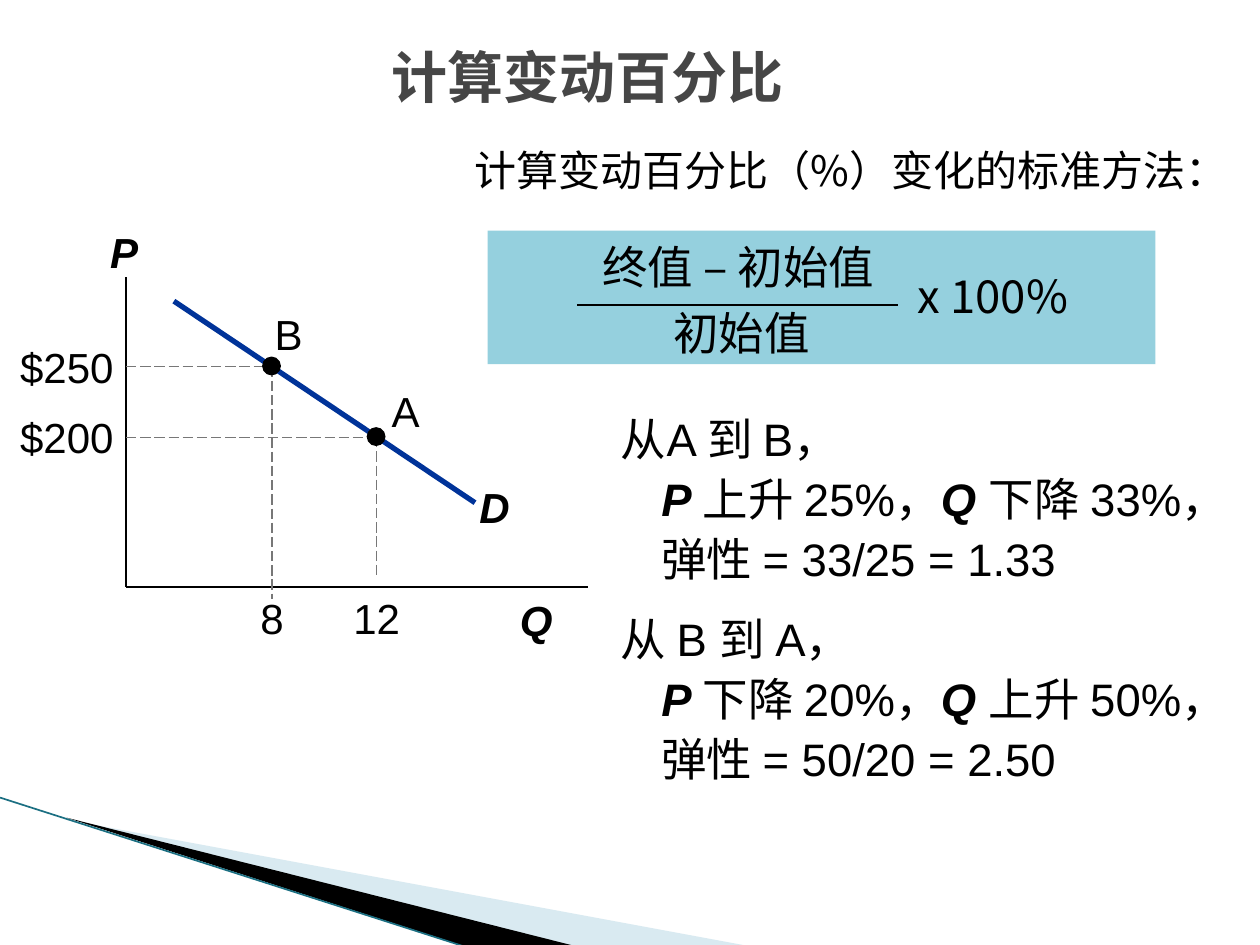
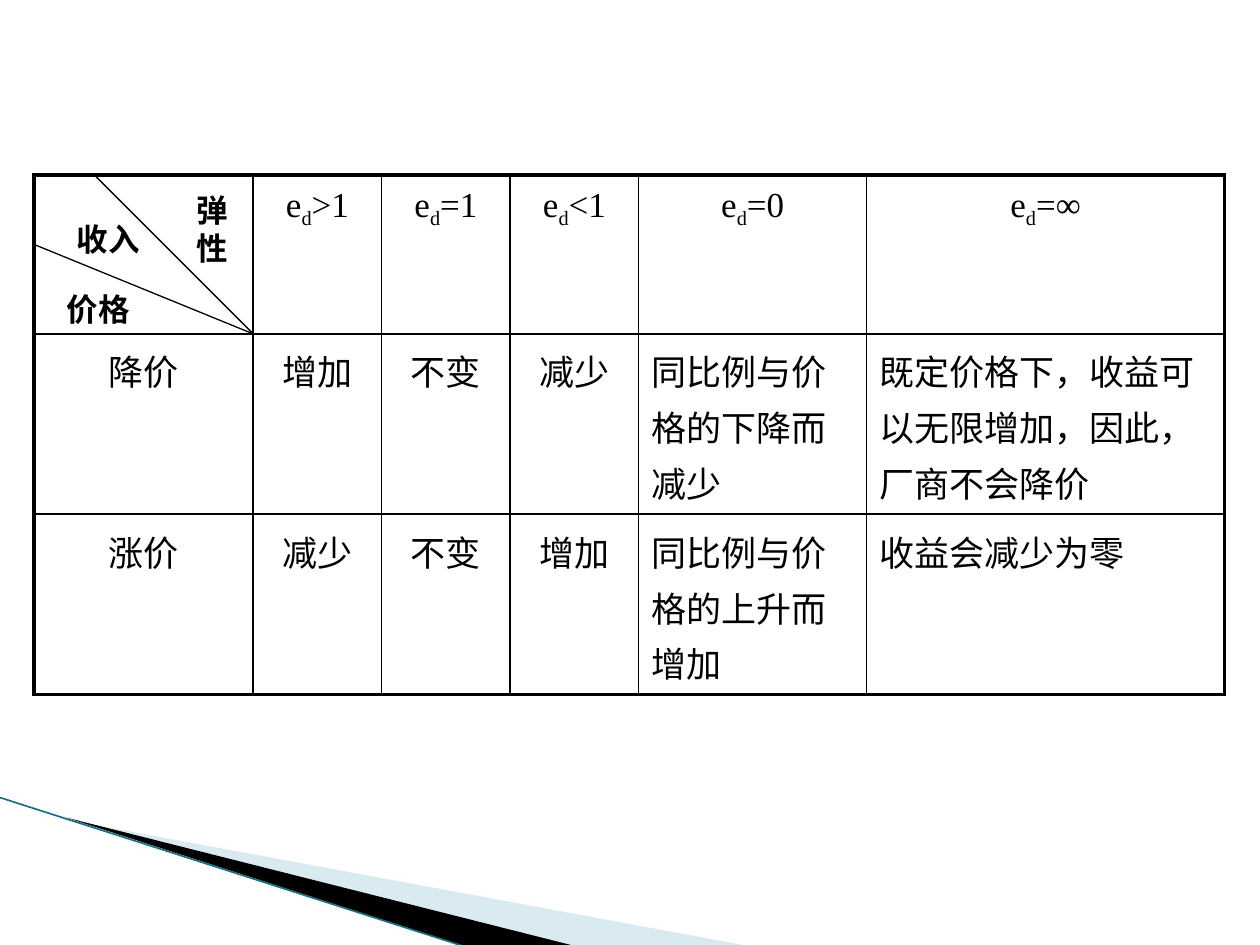
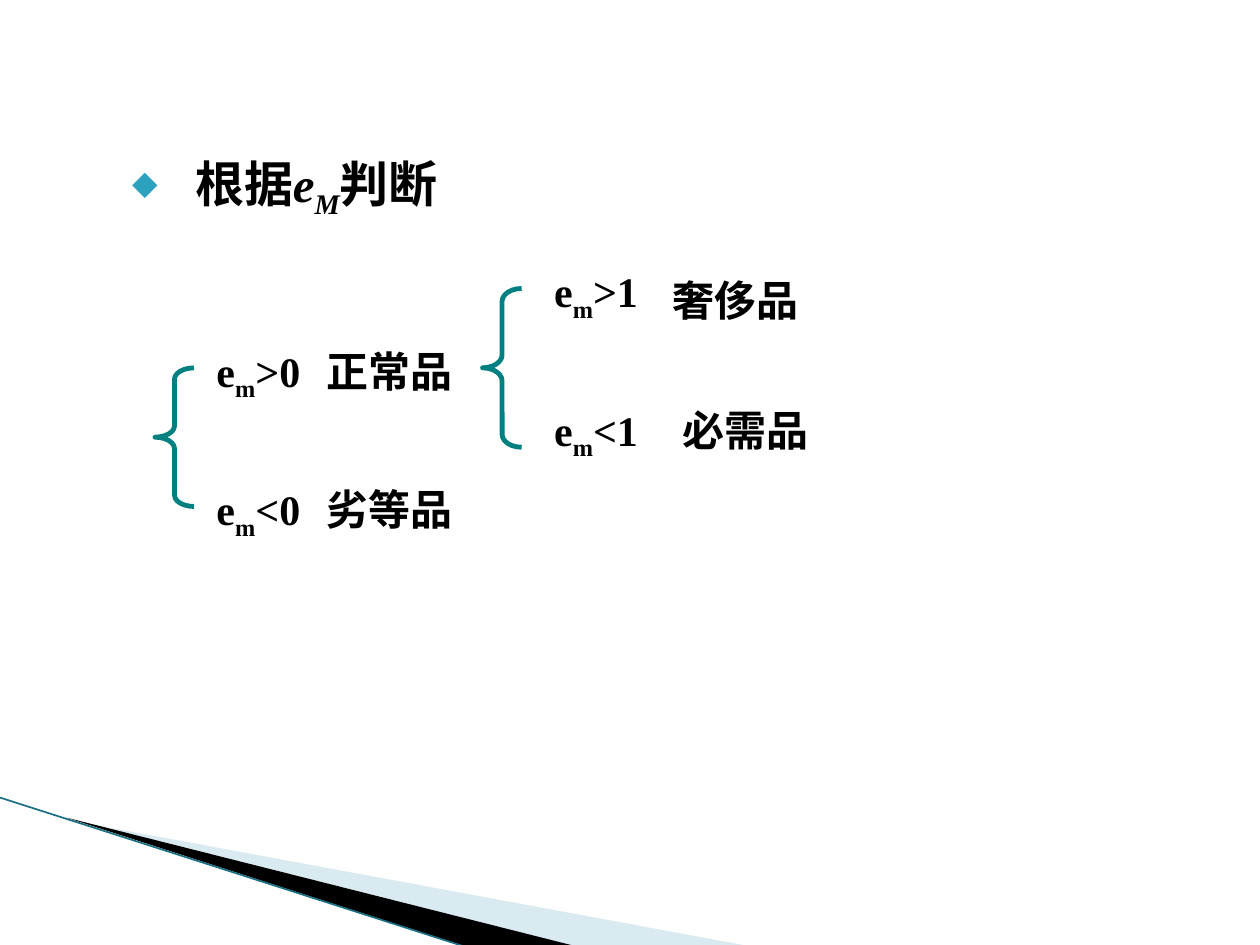
import dataclasses

import lxml.etree
import pptx
import pptx.dml.color
import pptx.enum.dml
import pptx.enum.shapes
import pptx.enum.text
import pptx.oxml.ns
import pptx.util

Inches = pptx.util.Inches
Pt = pptx.util.Pt
ALIGN = pptx.enum.text.PP_ALIGN
PRESET = pptx.enum.shapes.MSO_SHAPE
LINE_HEIGHT = 0.5


@dataclasses.dataclass(frozen=True)
class Theme:
    ink: str = "000000"
    title_ink: str = "464646"
    accent: str = "2DA2BF"
    pale_band: str = "A0CBDC"
    band_edge: str = "1B6F82"
    demand: str = "003399"
    guide: str = "777777"
    brace: str = "008080"
    sans: str = "Arial"
    chinese: str = "Noto Sans CJK SC"
    serif: str = "Times New Roman"
    title: float = 32
    bullet: float = 28
    body: float = 26
    label: float = 24
    cell: float = 20
    corner: float = 18
    thin: float = 0.75
    rule: float = 1
    frame: float = 2.25


THEME = Theme()


@dataclasses.dataclass(frozen=True)
class Box:
    left: float
    top: float
    width: float
    height: float

    def inner(self, left, top, width, height):
        return Box(self.left + left, self.top + top, width, height)

    def point(self, x, y):
        return self.left + x, self.top + y

    def lengths(self):
        return [Inches(value) for value in (self.left, self.top, self.width, self.height)]


def rgb(color):
    return pptx.dml.color.RGBColor.from_string(color)


def add_element(parent, tag, **attributes):
    element = lxml.etree.SubElement(parent, pptx.oxml.ns.qn(tag))
    for name, value in attributes.items():
        element.set(name, str(value))
    return element


def subscripted(base, index, rest, **format):
    return [(base, format), (index, {**format, "baseline": -25}), (rest, {})]


def write_run(paragraph, text, font=THEME.sans, size=THEME.label, color=THEME.ink,
              bold=False, italic=False, baseline=0):
    for number, piece in enumerate(text.split("\n")):
        if number:
            paragraph.add_line_break()
        if not piece:
            continue
        run = paragraph.add_run()
        run.text = piece
        run.font.name = font
        run.font.size = Pt(size)
        run.font.bold = bold
        run.font.italic = italic
        run.font.color.rgb = rgb(color)
        properties = run._r.get_or_add_rPr()
        add_element(properties, "a:ea", typeface=THEME.chinese)
        if baseline:
            properties.set("baseline", str(baseline * 1000))


def write_text(frame, text, align=ALIGN.LEFT, spacing=None, before=0, indent=None,
               bullet=None, **run_format):
    paragraphs = [[(text, {})]] if isinstance(text, str) else text
    for number, runs in enumerate(paragraphs):
        paragraph = frame.add_paragraph() if number else frame.paragraphs[0]
        paragraph.alignment = align
        if spacing:
            paragraph.line_spacing = spacing
        paragraph.space_before = Pt(before if number else 0)
        properties = paragraph._p.get_or_add_pPr()
        if indent:
            properties.set("marL", str(Inches(indent[0])))
            properties.set("indent", str(Inches(indent[1])))
        if bullet:
            add_element(add_element(properties, "a:buClr"), "a:srgbClr", val=THEME.accent)
            add_element(properties, "a:buSzPct", val=68000)
            add_element(properties, "a:buChar", char=bullet)
        for content, changes in runs:
            write_run(paragraph, content, **{**run_format, **changes})


def add_text(slide, box, text, anchor=pptx.enum.text.MSO_ANCHOR.TOP, **format):
    frame = slide.shapes.add_textbox(*box.lengths()).text_frame
    frame.word_wrap = True
    frame.vertical_anchor = anchor
    write_text(frame, text, **format)


def paint(shape, fill=None, opacity=None, line=None, width=THEME.thin):
    shape.shadow.inherit = False
    if fill:
        shape.fill.solid()
        shape.fill.fore_color.rgb = rgb(fill)
        if opacity:
            color = shape._element.spPr.find(".//" + pptx.oxml.ns.qn("a:srgbClr"))
            add_element(color, "a:alpha", val=opacity * 1000)
    else:
        shape.fill.background()
    if line:
        shape.line.color.rgb = rgb(line)
        shape.line.width = Pt(width)
    else:
        shape.line.fill.background()


def add_shape(slide, preset, box, **style):
    shape = slide.shapes.add_shape(preset, *box.lengths())
    paint(shape, **style)
    return shape


def add_line(slide, start, end, color=THEME.ink, width=THEME.thin, dashed=False):
    connector = slide.shapes.add_connector(
        pptx.enum.shapes.MSO_CONNECTOR.STRAIGHT,
        *[Inches(value) for value in (*start, *end)])
    connector.line.color.rgb = rgb(color)
    connector.line.width = Pt(width)
    if dashed:
        connector.line.dash_style = pptx.enum.dml.MSO_LINE.LONG_DASH
    add_element(connector._element.spPr, "a:effectLst")


def add_polygon(slide, points, **style):
    corners = [(Inches(x), Inches(y)) for x, y in points]
    builder = slide.shapes.build_freeform(*corners[0])
    builder.add_line_segments(corners[1:], close=True)
    paint(builder.convert_to_shape(), **style)


def add_corner_band(slide, box):
    pale = [(0.55, 0.18), (5.95, 1.18), (4.56, 1.18)]
    dark = [(0.53, 0.16), (4.57, 1.18), (3.72, 1.19)]
    add_polygon(slide, [box.point(*point) for point in pale], fill=THEME.pale_band, opacity=40)
    add_polygon(slide, [box.point(*point) for point in dark], fill=THEME.ink)
    add_line(slide, box.point(0, 0), box.point(3.71, 1.19), THEME.band_edge, 0.95)


def add_demand_graph(slide, box):
    axis_x, axis_y = 1, 2.91
    add_line(slide, box.point(axis_x, 0.45), box.point(axis_x, axis_y), width=THEME.rule)
    add_line(slide, box.point(axis_x, axis_y), box.point(4.67, axis_y), width=THEME.rule)
    add_line(slide, box.point(1.38, 0.64), box.point(3.77, 2.24), THEME.demand, 3)
    for name, left, top in [("P", 0.65, 0), ("Q", 3.92, 2.92), ("D", 3.59, 2.02)]:
        add_text(slide, box.inner(left, top, 0.67, LINE_HEIGHT), name,
                 align=ALIGN.CENTER, bold=True, italic=True)
    points = [
        ("B", "$250", "8", 2.16, 1.16, 0.13, 0.51, 3),
        ("A", "$200", "12", 2.99, 1.72, 0.23, 0.46, 2.84),
    ]
    for name, price, quantity, x, y, shift, rise, guide_end in points:
        add_text(slide, box.inner(0, y - 0.25, 1, LINE_HEIGHT), price, align=ALIGN.RIGHT)
        add_text(slide, box.inner(x - 0.32, 2.9, 0.64, LINE_HEIGHT), quantity,
                 align=ALIGN.CENTER)
        add_line(slide, box.point(axis_x, y), box.point(x, y), THEME.guide, dashed=True)
        add_line(slide, box.point(x, y), box.point(x, guide_end), THEME.guide, dashed=True)
        add_text(slide, box.inner(x + shift - 0.21, y - rise, 0.42, LINE_HEIGHT), name,
                 align=ALIGN.CENTER)
        add_shape(slide, PRESET.OVAL, box.inner(x - 0.08, y - 0.08, 0.15, 0.15), fill=THEME.ink)


def add_formula(slide, box):
    add_shape(slide, PRESET.RECTANGLE, box, fill=THEME.accent, opacity=50)
    terms = [("终值 – 初始值", -0.12, 0.02, 4.22), ("初始值", 0.97, 0.54, 2.09),
             ("x 100%", 3.26, 0.25, 1.5)]
    for text, left, top, width in terms:
        add_text(slide, box.inner(left, top, width, 0.53), text, align=ALIGN.CENTER,
                 font=THEME.chinese, size=THEME.body)
    add_line(slide, box.point(0.71, 0.59), box.point(3.26, 0.59))


def add_elasticity_steps(slide, box):
    variable = {"bold": True, "italic": True}
    steps = [
        [("从A 到 B，\n", {}), ("P ", variable), ("上升 25%，", {}), ("Q ", variable),
         ("下降 33%，\n弹性 = 33/25 = 1.33", {})],
        [("从 B 到 A，\n", {}), ("P ", variable), ("下降 20%，", {}), ("Q ", variable),
         ("上升 50%，弹性 = 50/20 = 2.50", {})],
    ]
    add_text(slide, box, steps, size=THEME.body, spacing=1.1, before=11.5, indent=(0.32, -0.32))


def add_percentage_slide(slide, box):
    add_text(slide, box.inner(0.25, 0.25, 8.83, 0.71), "计算变动百分比", align=ALIGN.CENTER,
             anchor=pptx.enum.text.MSO_ANCHOR.MIDDLE, font=THEME.chinese,
             size=THEME.title, color=THEME.title_ink, bold=True)
    add_demand_graph(slide, box.inner(0, 1.75, 4.67, 3.42))
    add_text(slide, box.inner(3.67, 1.08, 6.33, 0.75), "计算变动百分比（%）变化的标准方法：",
             font=THEME.chinese, spacing=1.05)
    add_formula(slide, box.inner(3.87, 1.83, 5.3, 1.06))
    add_elasticity_steps(slide, box.inner(4.83, 3.17, 5.17, 3.19))


def border_cell(cell, outer_sides):
    properties = cell._tc.get_or_add_tcPr()
    for side in "LRTB":
        width = THEME.frame if side in outer_sides else THEME.rule
        line = add_element(properties, f"a:ln{side}", w=Pt(width))
        add_element(add_element(line, "a:solidFill"), "a:srgbClr", val=THEME.ink)
    cell.fill.background()


def add_revenue_table(slide, box):
    widths = [1.74, 1.02, 1.02, 1.02, 1.81, 2.84]
    heights = [1.26, 1.34, 1.26]
    rows = [
        [""] + [[subscripted("e", "d", rest)] for rest in (">1", "=1", "<1", "=0", "=∞")],
        ["降价", "增加", "不变", "减少", "同比例与价格的下降而减少",
         "既定价格下，收益可以无限增加，因此，厂商不会降价"],
        ["涨价", "减少", "不变", "增加", "同比例与价格的上升而增加", "收益会减少为零"],
    ]
    table = slide.shapes.add_table(len(heights), len(widths), *box.lengths()).table
    table.first_row = table.horz_banding = False
    for column, width in zip(table.columns, widths):
        column.width = Inches(width)
    for row, height in zip(table.rows, heights):
        row.height = Inches(height)
    for row_number, texts in enumerate(rows):
        for column_number, text in enumerate(texts):
            cell = table.cell(row_number, column_number)
            edges = {"T": row_number == 0, "B": row_number == len(rows) - 1,
                     "L": column_number == 0, "R": column_number == len(widths) - 1}
            border_cell(cell, [side for side, outer in edges.items() if outer])
            prose = row_number > 0 and column_number > 3
            write_text(cell.text_frame, text, align=ALIGN.LEFT if prose else ALIGN.CENTER,
                       font=THEME.chinese if row_number else THEME.serif,
                       size=THEME.cell, spacing=1.1)
    add_corner_heading(slide, box.inner(0, 0, widths[0], heights[0]))


def add_corner_heading(slide, box):
    for start in [(0.48, 0), (0, 0.55)]:
        add_line(slide, box.point(*start), box.point(box.width, box.height))
    headings = [("弹性", 1.19, 0.08, 0.63, 0.7), ("收入", 0.24, 0.31, 0.87, 0.4),
                ("价格", 0.16, 0.86, 0.94, 0.4)]
    for text, *place in headings:
        add_text(slide, box.inner(*place), text, font=THEME.serif, size=THEME.corner, bold=True)


def add_revenue_slide(slide, box):
    add_revenue_table(slide, box.inner(0.27, 1.39, 9.45, 3.86))


def add_goods_tree(slide, box):
    goods = [(">0", "正常品", 0.39, 0.63, 1.26, 0.63), ("<0", "劣等品", 0.39, 1.73, 1.26, 1.73),
             (">1", "奢侈品", 3.07, 0, 4.01, 0.07), ("<1", "必需品", 3.07, 1.1, 4.09, 1.1)]
    for condition, name, left, top, name_left, name_top in goods:
        add_text(slide, box.inner(left, top, 0.94, LINE_HEIGHT),
                 [subscripted("e", "m", condition)], font=THEME.serif, bold=True)
        add_text(slide, box.inner(name_left, name_top, 1.6, LINE_HEIGHT), name, bold=True)
    for left, top, height, curl in [(0, 0.86, 1.1, 0.29), (2.6, 0.23, 1.26, 0.33)]:
        brace = add_shape(slide, PRESET.LEFT_BRACE, box.inner(left, top, 0.31, height),
                          line=THEME.brace, width=2.75)
        brace.adjustments[0] = curl
        brace.adjustments[1] = 0.5


def add_goods_slide(slide, box):
    symbol = subscripted("e", "M", "判断", font=THEME.serif, italic=True)
    add_text(slide, box.inner(0.83, 1.17, 8.92, 0.63), [[("根据", {}), *symbol]],
             font=THEME.chinese, size=THEME.bullet, bold=True, indent=(0.62, -0.5), bullet="◆")
    add_goods_tree(slide, box.inner(1.23, 2.06, 5.67, 2.23))


def main():
    presentation = pptx.Presentation()
    page = Box(0, 0, 10, 7.5)
    presentation.slide_width = Inches(page.width)
    presentation.slide_height = Inches(page.height)
    for fill_slide in (add_percentage_slide, add_revenue_slide, add_goods_slide):
        slide = presentation.slides.add_slide(presentation.slide_layouts[6])
        add_corner_band(slide, page.inner(0, 6.33, 5.95, 1.19))
        fill_slide(slide, page)
    presentation.save("out.pptx")


if __name__ == "__main__":
    main()
